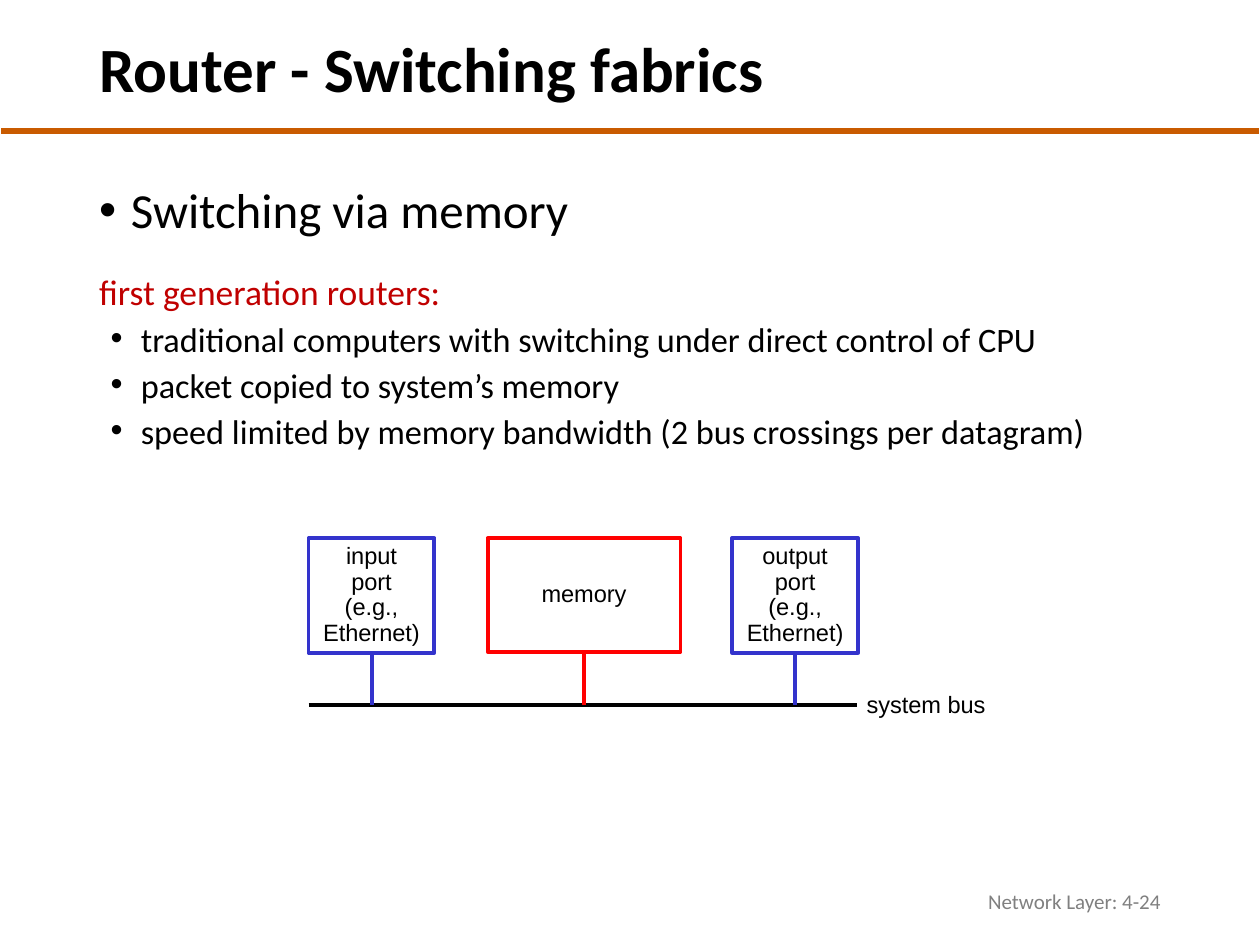
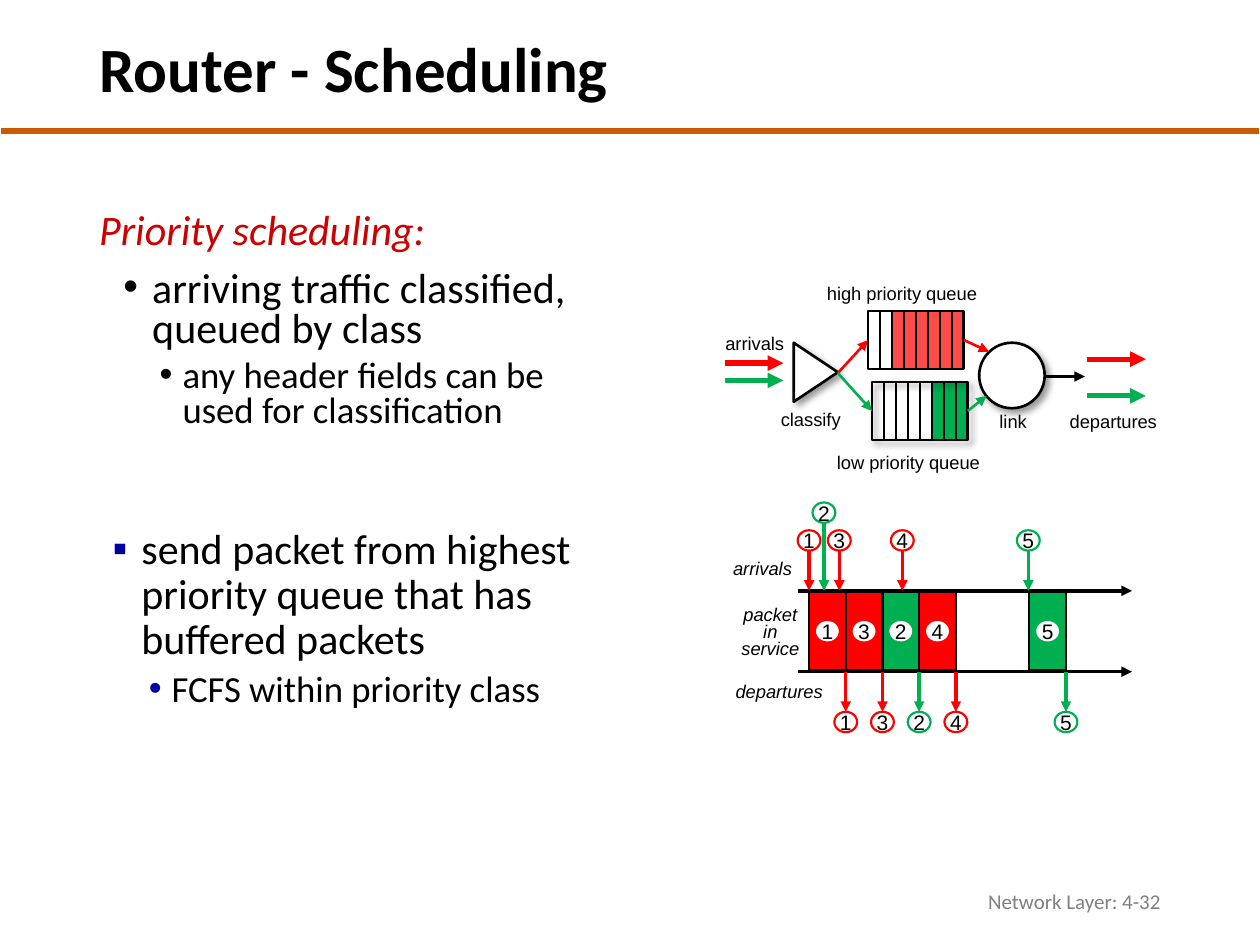
"""Build two slides on router switching and scheduling."""
import dataclasses

import lxml.etree
import pptx
import pptx.dml.color
import pptx.enum.shapes
import pptx.enum.text
import pptx.oxml.ns
import pptx.util

Cm = pptx.util.Cm
Pt = pptx.util.Pt
SHAPE = pptx.enum.shapes.MSO_SHAPE
ALIGN = pptx.enum.text.PP_ALIGN
ANCHOR = pptx.enum.text.MSO_ANCHOR
qn = pptx.oxml.ns.qn


@dataclasses.dataclass(frozen=True)
class Theme:
    """Colours, fonts and type sizes of the deck."""
    black: str = "000000"
    white: str = "FFFFFF"
    gray: str = "808080"
    rust: str = "C95B00"
    wine: str = "C00000"
    brick: str = "CC0000"
    red: str = "FF0000"
    green: str = "00B050"
    blue: str = "3333CC"
    navy: str = "0000A3"
    body: str = "Calibri"
    label: str = "Arial"
    title: float = 36
    head: float = 28
    large: float = 24
    mid: float = 21
    lead: float = 20.3
    item: float = 19.6
    port: float = 13.5
    small: float = 12
    tiny: float = 10.5


T = Theme()
TIGHT = dict(size=T.item, space=0.7, before=10, bullet="•", left=0.84, hang=0.61)
LABEL = dict(font=T.label, size=T.tiny)


def rgb(code):
    """Turn a hex code into a colour."""
    return pptx.dml.color.RGBColor.from_string(code)


def sub(parent, tag, **attrs):
    """Append a drawing element to its parent."""
    return lxml.etree.SubElement(parent, qn(tag), attrs)


def write(frame, text, font=T.body, size=T.large, color=T.black, bold=False,
          italic=False, align=ALIGN.LEFT, space=None, before=0, bullet=None,
          tint=None, left=0, hang=0, level=0):
    """Add each line of the text as a formatted paragraph."""
    for line in text.split("\n"):
        first = not frame.text
        para = frame.paragraphs[0] if first else frame.add_paragraph()
        para.level, para.alignment = level, align
        props = para._p.get_or_add_pPr()
        props.set("marL", str(Cm(left)))
        props.set("indent", str(-Cm(hang)))
        if bullet:
            if tint:
                sub(sub(props, "a:buClr"), "a:srgbClr", val=tint)
            sub(props, "a:buFont", typeface=T.label)
            sub(props, "a:buChar", char=bullet)
        if space:
            para.line_spacing = space
        if before and not first:
            para.space_before = Pt(before)
        run = para.add_run()
        run.text = line
        run.font.name, run.font.size = font, Pt(size)
        run.font.bold, run.font.italic = bold, italic
        run.font.color.rgb = rgb(color)


def pad(frame, side, top):
    """Set the inner margins of a text frame."""
    frame.margin_left = frame.margin_right = Cm(side)
    frame.margin_top = frame.margin_bottom = Cm(top)


def area(slide, x, y, w, h, wrap=True, anchor=ANCHOR.TOP):
    """Add an empty text box and return its frame."""
    frame = slide.shapes.add_textbox(Cm(x), Cm(y), Cm(w), Cm(h)).text_frame
    frame.word_wrap, frame.vertical_anchor = wrap, anchor
    return frame


def shape(slide, kind, x, y, w, h, fill=None, line=None, width=1.5,
          shade=False, alpha=None):
    """Add a preset shape with plain fill, outline and optional shadow."""
    item = slide.shapes.add_shape(kind, Cm(x), Cm(y), Cm(w), Cm(h))
    item.shadow.inherit = False
    props = item.element.spPr
    if fill:
        item.fill.solid()
        item.fill.fore_color.rgb = rgb(fill)
        if alpha:
            tone = props.find(qn("a:solidFill")).find(qn("a:srgbClr"))
            sub(tone, "a:alpha", val=str(alpha * 1000))
    else:
        item.fill.background()
    if line:
        item.line.color.rgb = rgb(line)
        item.line.width = Pt(width)
    else:
        item.line.fill.background()
    if shade:
        cast = sub(props.find(qn("a:effectLst")), "a:outerShdw",
                   blurRad=str(Pt(4)), dist=str(Pt(3)), dir="2700000",
                   algn="tl", rotWithShape="0")
        sub(sub(cast, "a:srgbClr", val=T.black), "a:alpha", val="40000")
    return item


def link(slide, start, end, color=T.black, width=1.5, head=True,
         source=None, target=None):
    """Draw a straight line, joined to (shape, side) pairs if given."""
    item = slide.shapes.add_connector(
        pptx.enum.shapes.MSO_CONNECTOR.STRAIGHT, *map(Cm, (*start, *end)))
    item.line.color.rgb = rgb(color)
    item.line.width = Pt(width)
    props = item.element.spPr
    if head:
        sub(props.find(qn("a:ln")), "a:tailEnd", type="triangle")
    sub(props, "a:effectLst")
    if source:
        item.begin_connect(*source)
    if target:
        item.end_connect(*target)


def start(deck, title, page):
    """Add a slide with its title, rule and footer."""
    slide = deck.slides.add_slide(deck.slide_layouts[5])
    link(slide, (0.03, 2.64), (25.37, 2.64), T.rust, 3, head=False)
    name = slide.shapes.title
    name.left, name.top, name.width, name.height = map(Cm, (1.75, 0.38, 20.14, 2.16))
    name.text_frame.vertical_anchor = ANCHOR.MIDDLE
    write(name.text_frame, title, size=T.title, bold=True, space=0.9)
    foot = area(slide, 17.93, 17.65, 5.72, 1.02, anchor=ANCHOR.MIDDLE)
    write(foot, f"Network Layer: 4-{page}", size=T.small, color=T.gray,
          align=ALIGN.RIGHT)
    return slide


def unit(slide, text, x, w, h, color, fill=None):
    """Draw a labelled router part and its drop to the bus."""
    top, bus = 10.85, 14.22
    box = shape(slide, SHAPE.RECTANGLE, x, top, w, h, fill, color, 2.25)
    pad(box.text_frame, 0, 0)
    box.text_frame.word_wrap = False
    write(box.text_frame, text, font=T.label, size=T.port, align=ALIGN.CENTER,
          space=0.9)
    mid = x + w / 2
    link(slide, (mid, top + h), (mid, bus), color, 2.25, head=False, source=(box, 2))


def queue(slide, x, y, color, first, last, shade=False, alpha=None):
    """Draw a queue of eight cells with some of them filled."""
    w, h, count = 1.93, 1.17, 8
    cell = w / count
    shape(slide, SHAPE.RECTANGLE, x + first * cell, y, (last - first) * cell, h,
          color, alpha=alpha)
    frame = shape(slide, SHAPE.RECTANGLE, x, y, w, h, line=T.black, shade=shade)
    for i in range(1, count):
        link(slide, (x + i * cell, y), (x + i * cell, y + h), head=False)
    return frame


def disc(slide, num, mid, top, line=None):
    """Draw a numbered disc around a middle line."""
    dot = shape(slide, SHAPE.OVAL, mid - 0.23, top, 0.46, 0.41, T.white, line, 1.25)
    pad(dot.text_frame, 0, 0)
    dot.text_frame.word_wrap = False
    write(dot.text_frame, str(num), font=T.label, size=T.small, align=ALIGN.CENTER)


def flow(slide):
    """Draw the two queues between classifier and link."""
    low = queue(slide, 17.58, 7.7, T.green, 5, 8, shade=True)
    high = queue(slide, 17.5, 6.27, T.red, 2, 8, alpha=71)
    sort = shape(slide, SHAPE.ISOSCELES_TRIANGLE, 15.85, 7.06, 1.19, 0.89,
                 T.white, T.black, shade=True)
    sort.rotation = 90
    shape(slide, SHAPE.OVAL, 19.74, 6.91, 1.32, 1.32, T.white, T.black, shade=True)
    tip = (16.89, 7.52)
    for box, color, end in ((high, T.red, (19.94, 7.09)),
                            (low, T.green, (19.89, 7.98))):
        link(slide, tip, tip, color, target=(box, 1))
        link(slide, end, end, color, source=(box, 3))
    link(slide, (21.06, 7.59), (21.87, 7.59))
    for x, *rows in ((14.61, 7.32, 7.67), (21.92, 7.24, 7.98)):
        for y, color in zip(rows, (T.red, T.green)):
            link(slide, (x, y), (x + 1.18, y), color, 3)
    for text, x, y, w in (("high priority queue", 16.38, 5.56, 3.61),
                          ("low priority queue", 16.59, 8.97, 3.45),
                          ("arrivals", 14.35, 6.58, 1.73),
                          ("classify", 15.47, 8.1, 1.75),
                          ("departures", 21.29, 8.15, 2.31),
                          ("link", 19.89, 8.15, 1.07)):
        write(area(slide, x, y, w, 0.71, wrap=False), text, align=ALIGN.CENTER, **LABEL)


def times(slide):
    """Draw packets arriving, in service and departing over time."""
    left, step, top, base = 16.31, 0.74, 11.91, 13.54
    packs = ((1, 0, 16.31, 10.69, T.red), (3, 1, 16.92, 10.69, T.red),
             (2, 2, 16.61, 10.13, T.green), (4, 3, 18.19, 10.69, T.red),
             (5, 6, 20.73, 10.69, T.green))
    for num, slot, _, _, color in packs:
        x = left + slot * step
        shape(slide, SHAPE.RECTANGLE, x, 11.94, step, 1.57, color, T.black, 1.25)
        disc(slide, num, x + step / 2, 12.52)
    for y in (top, base):
        link(slide, (16.09, y), (22.82, y), width=2)
    for text, x, y, w in (("arrivals", 14.53, 11.1, 1.73),
                          ("departures", 14.58, 13.59, 2.31)):
        write(area(slide, x, y, w, 0.71, wrap=False), text, italic=True, **LABEL)
    write(area(slide, 14.63, 12.14, 1.8, 1.32), "packet in service", italic=True,
          align=ALIGN.CENTER, space=Pt(9.6), **LABEL)
    for num, slot, come, high, color in packs:
        disc(slide, num, come, high, color)
        link(slide, (come, high + 0.41), (come, top), color, 2)
        leave = left + (slot + 1) * step
        disc(slide, num, leave, 14.35, color)
        link(slide, (leave, base), (leave, 14.35), color, 2)


def fabric(deck):
    """Build the slide on switching via memory."""
    slide = start(deck, "Router - Switching fabrics", 24)
    write(area(slide, 1.75, 3.63, 21.89, 1.6), "Switching via memory", size=T.head,
          space=0.9, bullet="•", left=0.64, hang=0.64)
    body = area(slide, 1.75, 5.56, 21.89, 4.09)
    write(body, "first generation routers:", size=T.lead, color=T.wine, space=0.7)
    write(body, "traditional computers with switching under direct control of CPU\n"
          "packet copied to system’s memory\n"
          "speed limited by memory bandwidth (2 bus crossings per datagram)", **TIGHT)
    link(slide, (6.22, 14.22), (17.27, 14.22), width=2.25, head=False)
    for side, x in (("input", 6.22), ("output", 14.76)):
        unit(slide, side + "\nport\n(e.g.,\nEthernet)", x, 2.54, 2.31, T.blue, T.white)
    unit(slide, "memory", 9.83, 3.89, 2.29, T.red)
    write(area(slide, 17.22, 13.79, 2.95, 0.84, wrap=False), "system bus",
          font=T.label, size=T.port)


def plan(deck):
    """Build the slide on priority scheduling."""
    slide = start(deck, "Router - Scheduling", 32)
    outer, inner = dict(left=1.07, hang=0.58), dict(left=1.68, hang=0.46, level=1)
    body = area(slide, 1.75, 4.17, 10.36, 4.7)
    write(body, "Priority scheduling:", color=T.brick, italic=True, space=0.8)
    write(body, "arriving traffic classified, queued by class", space=0.8,
          before=10, bullet="•", **outer)
    write(body, "any header fields can be used for classification", size=T.mid,
          space=0.8, before=5, bullet="•", **inner)
    rule = area(slide, 1.6, 10.54, 10.59, 4.09)
    pad(rule, 0.18, 0.1)
    write(rule, "send packet from highest priority queue that has buffered packets",
          space=0.9, bullet="▪", tint=T.navy, **outer)
    write(rule, "FCFS within priority class", size=T.mid, space=0.9, before=3.8,
          bullet="•", tint=T.navy, **inner)
    flow(slide)
    times(slide)


def main():
    """Build and save the deck."""
    deck = pptx.Presentation()
    deck.slide_width, deck.slide_height = Cm(25.4), Cm(19.05)
    fabric(deck)
    plan(deck)
    deck.save("out.pptx")


if __name__ == "__main__":
    main()
